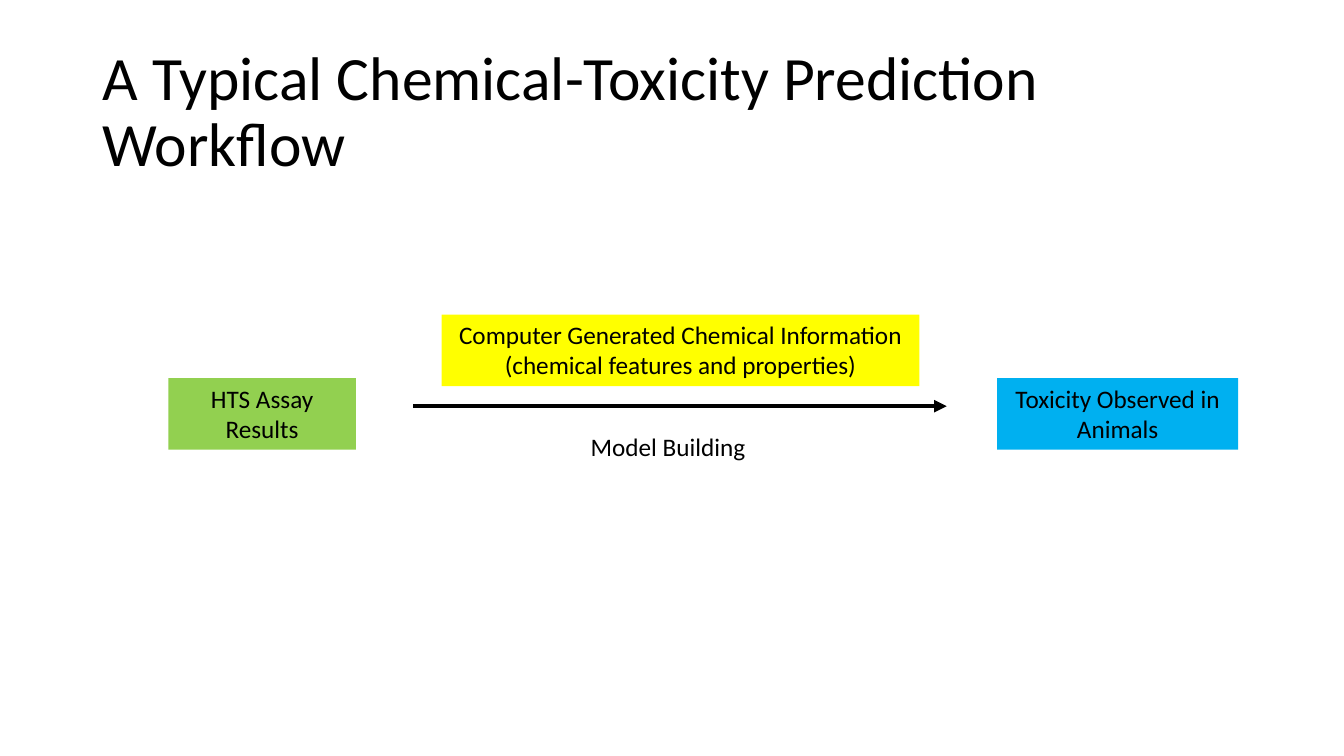
from lxml import etree
from pptx import Presentation
from pptx import util as u
from pptx.dml.color import RGBColor
from pptx.enum import shapes, text
from pptx.oxml.ns import qn

CENTER = text.PP_ALIGN.CENTER
LEFT = text.PP_ALIGN.LEFT
MIDDLE = text.MSO_ANCHOR.MIDDLE
TOP = text.MSO_ANCHOR.TOP


def color(value):
    return RGBColor.from_string(value)


def write(tf, content, font="Calibri", size=18, ink="000000",
          align=LEFT, anchor=TOP, spacing=None):
    tf.word_wrap = True
    tf.vertical_anchor = anchor
    p = tf.paragraphs[0]
    p.alignment = align
    p.line_spacing = spacing
    r = p.add_run()
    r.text = content
    r.font.name = font
    r.font.size = u.Pt(size)
    r.font.color.rgb = color(ink)


class Deck:
    font = "Calibri"
    ink = "000000"

    def __init__(self, width, height):
        self.prs = Presentation()
        self.prs.slide_width = u.Inches(width)
        self.prs.slide_height = u.Inches(height)
        self.s = self.prs.slides.add_slide(self.prs.slide_layouts[6])

    def label(self, content, *box, **style):
        sp = self.s.shapes.add_textbox(*map(u.Inches, box))
        write(sp.text_frame, content, font=self.font, ink=self.ink, **style)

    def block(self, content, fill, *box):
        sp = self.s.shapes.add_shape(shapes.MSO_SHAPE.RECTANGLE, *map(u.Inches, box))
        sp.shadow.inherit = False
        sp.fill.solid()
        sp.fill.fore_color.rgb = color(fill)
        sp.line.fill.background()
        write(sp.text_frame, content, font=self.font, ink=self.ink, align=CENTER)

    def arrow(self, x1, x2, y, width):
        sp = self.s.shapes.add_connector(
            shapes.MSO_CONNECTOR.STRAIGHT, *map(u.Inches, (x1, y, x2, y)))
        sp.line.color.rgb = color(self.ink)
        sp.line.width = u.Pt(width)
        etree.SubElement(sp.line._get_or_add_ln(), qn("a:tailEnd"), type="triangle")
        etree.SubElement(sp._element.spPr, qn("a:effectLst"))


deck = Deck(13.33, 7.5)
deck.label("A Typical Chemical-Toxicity Prediction Workflow",
           0.92, 0.4, 11.9, 1.45, size=44, anchor=MIDDLE, spacing=0.9)

block_height = 0.71
for content, fill, left, top, width in (
    ("HTS Assay Results", "92D050", 1.67, 3.75, 1.86),
    ("Computer Generated Chemical Information (chemical features and properties)",
     "FFFF00", 4.38, 3.12, 4.74),
    ("Toxicity Observed in Animals", "00B0F0", 9.89, 3.75, 2.39),
):
    deck.block(content, fill, left, top, width, block_height)

deck.arrow(4.1, 9.39, 4.03, 3)
deck.label("Model Building", 5.76, 4.23, 1.91, 0.4)
deck.prs.save("out.pptx")
